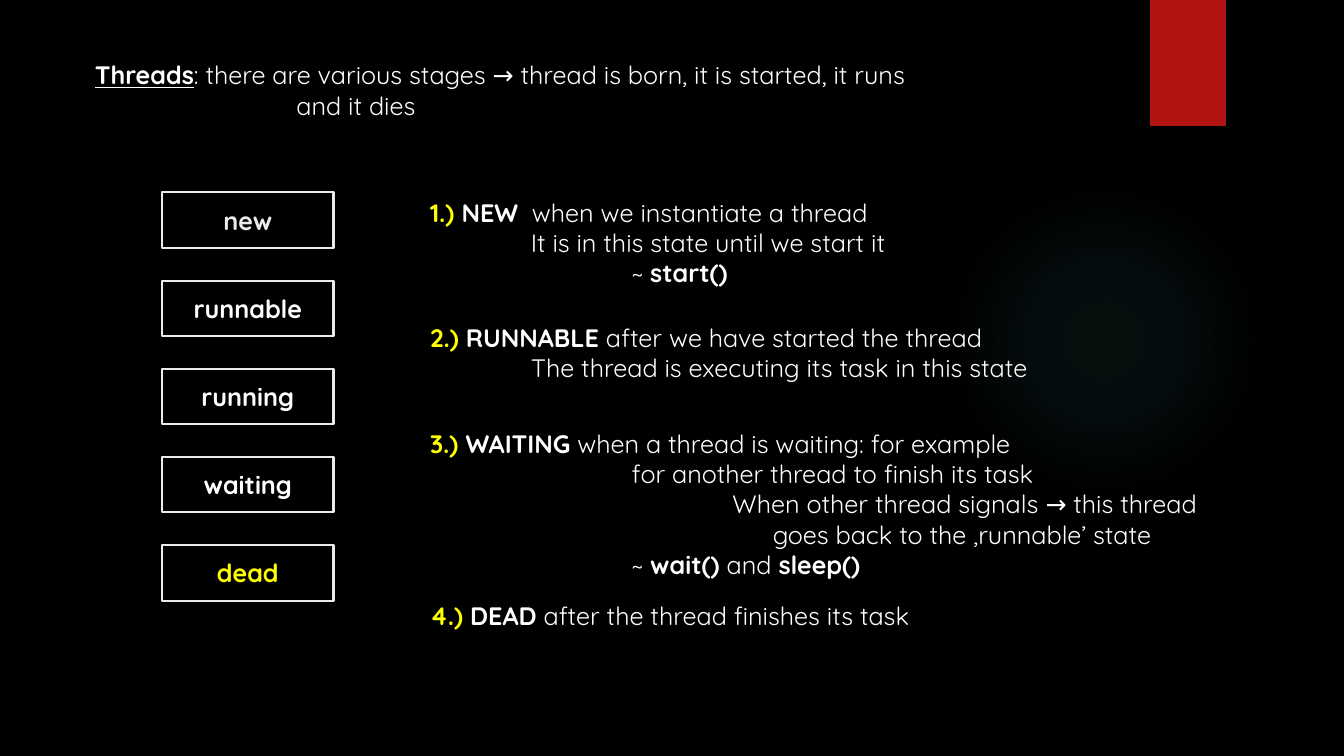
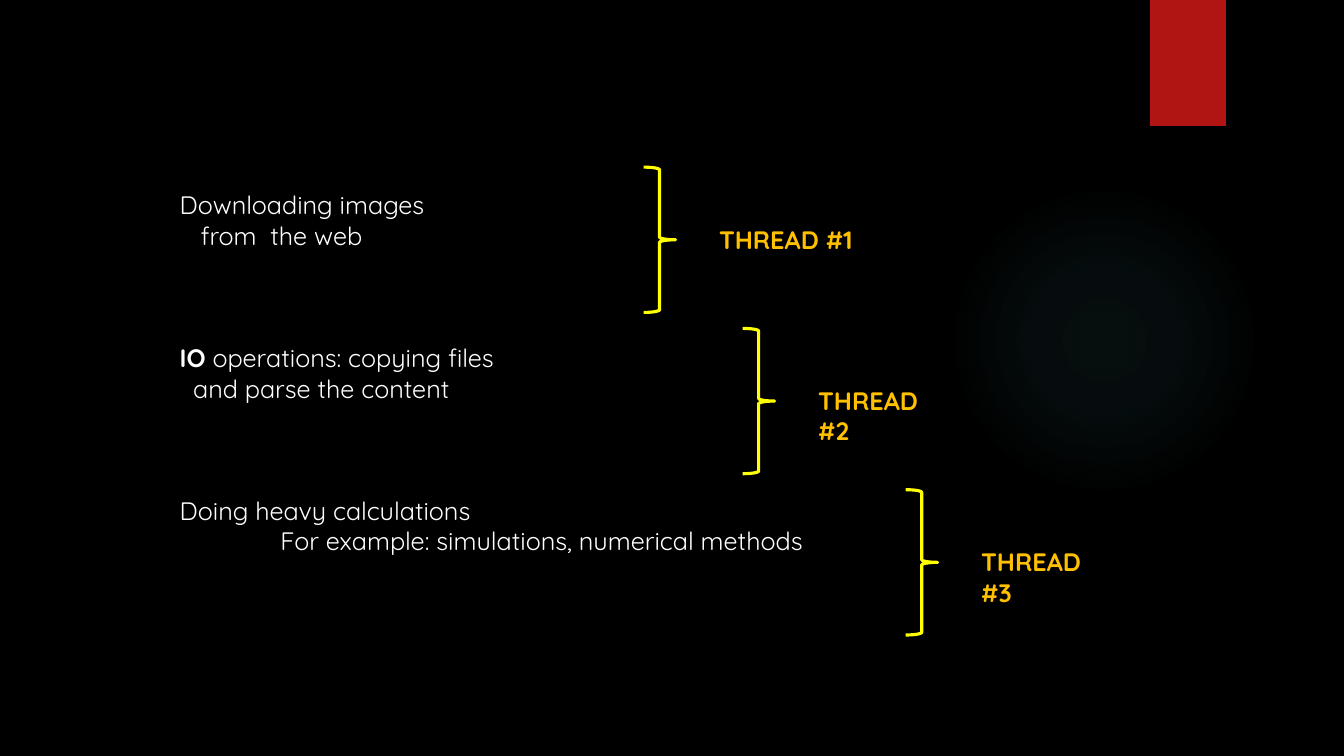
from dataclasses import dataclass

from lxml import etree
from pptx import Presentation, util as u
from pptx.dml.color import RGBColor
from pptx.enum import shapes as sh, text as tx


@dataclass(frozen=True)
class Theme:
    font: str = "Quicksand"
    size: int = 18
    back: str = "000000"
    text: str = "FFFFFF"
    soft: str = "EBEBEB"
    key: str = "FFFF00"
    label: str = "FFC000"
    band: str = "B01513"
    glow: str = "50B9C1"
    thin: float = 1.5
    thick: float = 2.25


T = Theme()
COLS, ROWS = 16, 9
deck = Presentation()
deck.slide_width, deck.slide_height = u.Inches(13.33), u.Inches(7.5)
CELL = deck.slide_height / ROWS
TAB = 1.2  # one indent step, in columns


def put(slide, col, row, wide, high, lines=(), kind=None, fill=None,
        line=None, width=T.thin, color=T.text, bold=False):
    """Add a shape (or a text box if kind is None), placed in grid cells.

    Each line is (indent, run, ...); a run is a string or (string, format),
    the format holding color, bold or under.
    """
    area = [u.Emu(round(n * CELL)) for n in (col, row, wide, high)]
    if kind is None:
        item = slide.shapes.add_textbox(*area)
    else:
        item = slide.shapes.add_shape(kind, *area)
        item.shadow.inherit = False
        if fill:
            item.fill.solid()
            item.fill.fore_color.rgb = RGBColor.from_string(fill)
        else:
            item.fill.background()
        if line:
            item.line.color.rgb = RGBColor.from_string(line)
            item.line.width = u.Pt(width)
        else:
            item.line.fill.background()
    frame = item.text_frame
    frame.word_wrap = True
    frame.vertical_anchor = tx.MSO_ANCHOR.MIDDLE if kind else tx.MSO_ANCHOR.TOP
    for i, (inset, *runs) in enumerate(lines):
        para = frame.add_paragraph() if i else frame.paragraphs[0]
        para.alignment = tx.PP_ALIGN.CENTER if kind else tx.PP_ALIGN.LEFT
        if inset:
            props = para._p.get_or_add_pPr()
            props.set("marL", str(round(inset * CELL)))
            props.set("indent", "0")
        for part in runs:
            words, form = (part, {}) if isinstance(part, str) else part
            run = para.add_run()
            run.text = words
            font = run.font
            font.name, font.size = T.font, u.Pt(T.size)
            font.bold = form.get("bold", bold)
            font.underline = form.get("under", False)
            font.color.rgb = RGBColor.from_string(form.get("color", color))
    return item


BOLD = {"bold": True}
KEY = {"bold": True, "color": T.key}

# Shared look, kept on the blank layout
blank = deck.slide_layouts[6]
for holder in list(blank.placeholders):
    holder._element.getparent().remove(holder._element)
blank.background.fill.solid()
blank.background.fill.fore_color.rgb = RGBColor.from_string(T.back)

states = deck.slides.add_slide(blank)
glow = put(states, 11.29, 2.2, 3.7, 3.7, kind=sh.MSO_SHAPE.OVAL, fill=T.glow)
band = put(states, 13.69, 0, 0.9, 1.5, kind=sh.MSO_SHAPE.RECTANGLE, fill=T.band)
stops = "".join(
    f'<a:gs pos="{at * 1000}"><a:srgbClr val="{T.glow}">'
    f'<a:alpha val="{alpha * 1000}"/></a:srgbClr></a:gs>'
    for at, alpha in ((0, 7), (36, 6), (69, 0), (100, 0)))
grad = etree.fromstring(
    '<a:gradFill xmlns:a="http://schemas.openxmlformats.org/drawingml/2006/main">'
    f'<a:gsLst>{stops}</a:gsLst><a:path path="circle">'
    '<a:fillToRect l="50000" t="50000" r="50000" b="50000"/></a:path></a:gradFill>')
solid = glow._element.spPr.find("{*}solidFill")
solid.getparent().replace(solid, grad)
for item in (glow, band):
    blank.shapes._spTree.append(item._element)

# Slide 1: the states of a thread
put(states, 1.01, 0.65, 10.5, 0.85, [
    (0, ("Threads", {"bold": True, "under": True}),
     ": there are various stages → thread is born, it is started, it runs"),
    (2 * TAB, "and it dies")])

names = (("new", T.soft), ("runnable", T.text), ("running", T.text),
         ("waiting", T.text), ("dead", T.key))
for i, (name, color) in enumerate(names):
    put(states, 1.93, 2.29 + 1.05 * i, 2.04, 0.66, [(0, name)],
        kind=sh.MSO_SHAPE.RECTANGLE, line=T.soft, color=color, bold=True)

notes = (
    (2.29, 1.21, "NEW", "  when we instantiate a thread", [
        (TAB, "It is in this state until we start it"),
        (2 * TAB, "~ ", ("start()", BOLD))]),
    (3.78, 0.85, "RUNNABLE", " after we have started the thread", [
        (TAB, "The thread is executing its task in this state")]),
    (5.04, 1.94, "WAITING", " when a thread is waiting: for example", [
        (2 * TAB, "for another thread to finish its task"),
        (3 * TAB, "When other thread signals → this thread"),
        (3.4 * TAB, "goes back to the ‚runnable’ state"),
        (2 * TAB, "~ ", ("wait() ", BOLD), "and ", ("sleep()", BOLD))]),
    (7.09, 0.48, "DEAD", " after the thread finishes its task", []),
)
for i, (row, high, name, start, rest) in enumerate(notes, 1):
    first = (0, (f"{i}.) ", KEY), (name, BOLD), start)
    put(states, 5, row, 10, high, [first, *rest])

# Slide 2: one thread for each job
jobs = deck.slides.add_slide(blank)
tasks = (
    (7.66, 1.9, [(0, "Downloading images"), (0.25, "from  the web")]),
    (8.84, 1.79, [(0, ("IO", BOLD), " operations: copying files"),
                  (0.16, "and parse the content")]),
    (10.78, 1.79, [(0, "Doing heavy calculations"),
                   (TAB, "For example: simulations, numerical methods")]),
)
for i, (col, wide, lines) in enumerate(tasks):
    row = 1.99 + 1.92 * i
    put(jobs, 2.02, 2.2 + 1.82 * i, 8.4, 0.85, lines)
    put(jobs, col, row, 0.38, 1.73, kind=sh.MSO_SHAPE.RIGHT_BRACE,
        line=T.key, width=T.thick)
    put(jobs, col + 0.78, row + 0.62, wide, 0.48,
        [(0, f"THREAD #{i + 1}")], color=T.label, bold=True)

deck.save("out.pptx")
